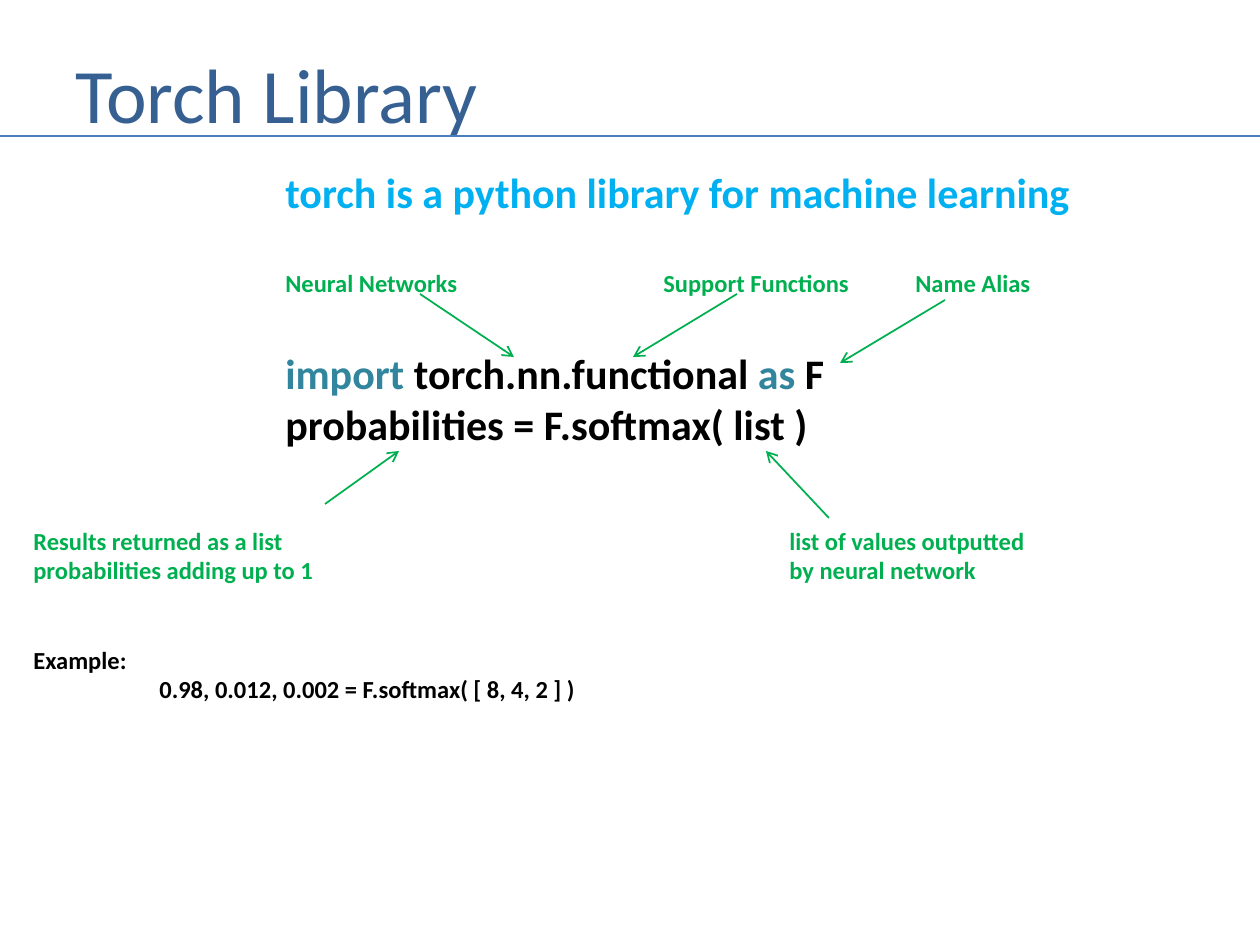
from lxml.etree import SubElement
from pptx import Presentation
from pptx.dml.color import RGBColor
from pptx.enum.shapes import MSO_CONNECTOR
from pptx.enum.text import MSO_ANCHOR
from pptx.oxml.ns import qn
from pptx.util import Emu, Pt

PIXEL = 914400 / 126
FONT = "Calibri"
TITLE_BLUE = RGBColor(0x37, 0x60, 0x92)
RULE_BLUE = RGBColor(0x4B, 0x7E, 0xBC)
SKY = RGBColor(0x00, 0xB0, 0xF0)
TEAL = RGBColor(0x31, 0x85, 0x9C)
GREEN = RGBColor(0x00, 0xB0, 0x50)
BLACK = RGBColor(0x00, 0x00, 0x00)

# Each line: size, space before, tab stops, coloured runs
LESSON = [
    (24, 0, [252], [("\ttorch is a python library for machine learning", SKY)]),
    (14, 51, [252, 630, 882],
     [("\tNeural Networks\tSupport Functions\tName Alias", GREEN)]),
    (24, 51, [252], [("\timport ", TEAL), ("torch.nn.functional", BLACK),
                     (" as ", TEAL), ("F", BLACK)]),
    (24, 0, [252], [("\tprobabilities = F.softmax( list )", BLACK)]),
    (14, 77, [756], [("Results returned as a list\tlist of values outputted", GREEN)]),
    (14, 0, [756], [("probabilities adding up to 1\tby neural network", GREEN)]),
    (14, 60, [], [("Example:", BLACK)]),
    (14, 0, [126], [("\t0.98, 0.012, 0.002 = F.softmax( [ 8, 4, 2 ] )", BLACK)]),
]

# Arrows as x1, y1, x2, y2 from the corner of the lesson box
ARROWS = [
    (399, 134, 493, 197),
    (716, 134, 612, 197),
    (924, 140, 819, 203),
    (304, 344, 378, 291),
    (808, 358, 745, 291),
]


def px(value):
    """Turn picture pixels into EMU."""
    return Emu(round(value * PIXEL))


def add_text_box(slide, left, top, width, height):
    """Add a wrapping text box and return its text frame."""
    box = slide.shapes.add_textbox(px(left), px(top), px(width), px(height))
    box.text_frame.word_wrap = True
    return box.text_frame


def add_line(slide, ends, color, weight, arrow=False):
    """Draw a straight line, with an open arrowhead at its end if asked."""
    line = slide.shapes.add_connector(MSO_CONNECTOR.STRAIGHT, *map(px, ends))
    line.line.color.rgb = color
    line.line.width = Pt(weight)
    if arrow:
        SubElement(line.line._get_or_add_ln(), qn("a:tailEnd"), type="arrow")
    SubElement(line._element.spPr, qn("a:effectLst"))


def add_title(slide, left, top, width, height):
    """Place the heading and the full-width rule near its lower edge."""
    frame = add_text_box(slide, left, top, width, height)
    frame.vertical_anchor = MSO_ANCHOR.MIDDLE
    paragraph = frame.paragraphs[0]
    paragraph.text = "Torch Library"
    paragraph.font.name = FONT
    paragraph.font.size = Pt(44)
    paragraph.font.color.rgb = TITLE_BLUE
    rule = top + height - 12
    add_line(slide, (0, rule, 1260, rule), RULE_BLUE, 1.5)


def add_lesson(slide, left, top, width, height):
    """Place the code with its labels on tab stops."""
    frame = add_text_box(slide, left, top, width, height)
    for index, (size, gap, stops, runs) in enumerate(LESSON):
        paragraph = frame.add_paragraph() if index else frame.paragraphs[0]
        paragraph.space_before = px(gap)
        if stops:
            tabs = SubElement(paragraph._p.get_or_add_pPr(), qn("a:tabLst"))
            for stop in stops:
                SubElement(tabs, qn("a:tab"), pos=str(px(stop)), algn="l")
        paragraph.font.name = FONT
        paragraph.font.size = Pt(size)
        paragraph.font.bold = True
        for text, color in runs:
            run = paragraph.add_run()
            run.text = text
            run.font.color.rgb = color


def add_arrows(slide, left, top):
    """Link the labels to the code, measured from the lesson's corner."""
    for x1, y1, x2, y2 in ARROWS:
        ends = (left + x1, top + y1, left + x2, top + y2)
        add_line(slide, ends, GREEN, 1, arrow=True)


presentation = Presentation()
presentation.slide_width = px(1260)
presentation.slide_height = px(945)
slide = presentation.slides.add_slide(presentation.slide_layouts[6])
add_title(slide, 63, 38, 1144, 110)
add_lesson(slide, 21, 160, 1071, 640)
add_arrows(slide, 21, 160)
presentation.save("out.pptx")
